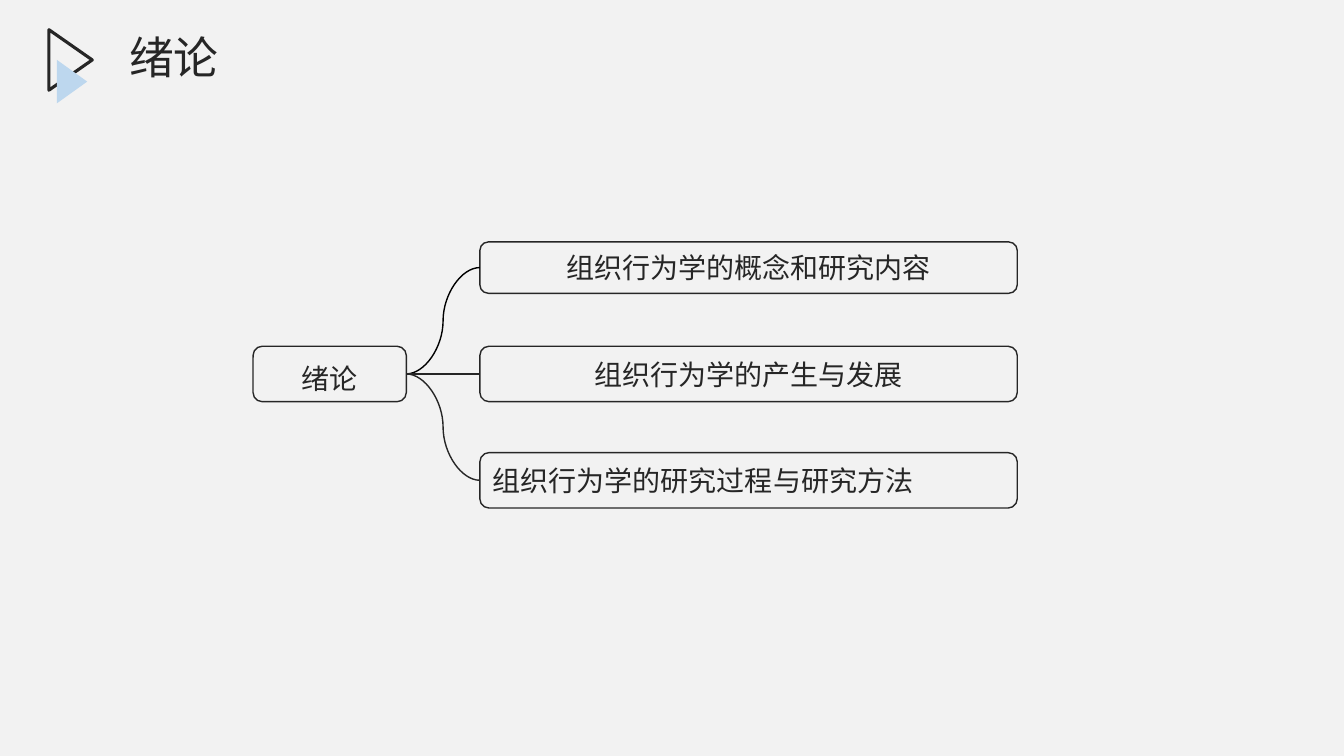
from lxml import etree
from pptx import Presentation
from pptx.dml.color import RGBColor
from pptx.enum.shapes import MSO_CONNECTOR as Connector, MSO_SHAPE as Shape
from pptx.enum.text import MSO_ANCHOR as Anchor, PP_ALIGN as Align
from pptx.oxml.ns import qn
from pptx.util import Inches, Pt

COLORS = {"background": "F2F2F2", "ink": "262626", "accent": "BDD7EE", "black": "000000"}
FONT = "Noto Sans CJK SC"
RIGHT_SIDE, LEFT_SIDE = 3, 1


def color(name):
    """Return the named colour of the palette."""
    return RGBColor.from_string(COLORS[name])


def write_text(shape, text, size, align, anchor, spacing):
    """Set one paragraph of text in a shape and format it."""
    frame = shape.text_frame
    frame.text = text
    frame.word_wrap = True
    frame.vertical_anchor = anchor
    paragraph = frame.paragraphs[0]
    paragraph.alignment = align
    paragraph.line_spacing = spacing
    font = paragraph.runs[0].font
    font.size = Pt(size)
    font.color.rgb = color("ink")
    font.name = FONT
    properties = paragraph.runs[0]._r.get_or_add_rPr()
    etree.SubElement(properties, qn("a:ea")).set("typeface", FONT)


def add_outline(slide, kind, left, top, width, height, line_width):
    """Add an unfilled shape with a dark outline."""
    shape = slide.shapes.add_shape(kind, Inches(left), Inches(top), Inches(width), Inches(height))
    shape.shadow.inherit = False
    shape.fill.background()
    shape.line.color.rgb = color("ink")
    shape.line.width = Pt(line_width)
    return shape


def add_header(slide, left, top, text):
    """Place the two triangles and the slide title."""
    large = add_outline(slide, Shape.ISOSCELES_TRIANGLE, left, top + 0.08, 0.6, 0.43, 2.25)
    small = add_outline(slide, Shape.ISOSCELES_TRIANGLE, left + 0.1, top + 0.36, 0.43, 0.3, 1)
    large.rotation = small.rotation = 90
    small.fill.solid()
    small.fill.fore_color.rgb = color("accent")
    small.line.fill.background()

    title = slide.shapes.title
    title.left, title.top = Inches(left + 0.78), Inches(top)
    title.width, title.height = Inches(7.63), Inches(0.89)
    write_text(title, text, 32, Align.LEFT, Anchor.TOP, 0.9)


def add_branch(slide, root, topic, kind, line_color):
    """Join the right side of the root to the left side of a topic."""
    connector = slide.shapes.add_connector(
        kind, root.left + root.width, root.top + root.height // 2,
        topic.left, topic.top + topic.height // 2)
    connector.begin_connect(root, RIGHT_SIDE)
    connector.end_connect(topic, LEFT_SIDE)
    connector.line.color.rgb = color(line_color)
    connector.line.width = Pt(1)
    etree.SubElement(connector._element.spPr, qn("a:effectLst"))


def add_mind_map(slide, left, middle, root_text, topics):
    """Draw a root box with evenly spaced topic boxes to its right."""
    root_height, pitch = 0.55, 1.055
    root = add_outline(slide, Shape.ROUNDED_RECTANGLE, left, middle - root_height / 2,
                       1.52, root_height, 1)
    write_text(root, root_text, 20, Align.CENTER, Anchor.MIDDLE, Pt(30))

    for index, (text, height, align, kind, line_color) in enumerate(topics):
        center = middle + (index - (len(topics) - 1) / 2) * pitch
        topic = add_outline(slide, Shape.ROUNDED_RECTANGLE, left + 2.25, center - height / 2,
                            5.33, height, 1)
        write_text(topic, text, 20, align, Anchor.MIDDLE, 1.0)
        add_branch(slide, root, topic, kind, line_color)


def main():
    """Build and save the presentation."""
    presentation = Presentation()
    presentation.slide_width, presentation.slide_height = Inches(13.33), Inches(7.5)
    slide = presentation.slides.add_slide(presentation.slide_layouts[5])
    slide.background.fill.solid()
    slide.background.fill.fore_color.rgb = color("background")

    add_header(slide, 0.4, 0.3, "绪论")
    add_mind_map(slide, 2.51, 3.71, "绪论", [
        ("组织行为学的概念和研究内容", 0.51, Align.CENTER, Connector.CURVE, "black"),
        ("组织行为学的产生与发展", 0.55, Align.CENTER, Connector.STRAIGHT, "ink"),
        ("组织行为学的研究过程与研究方法", 0.55, Align.LEFT, Connector.CURVE, "ink"),
    ])
    presentation.save("out.pptx")


if __name__ == "__main__":
    main()
